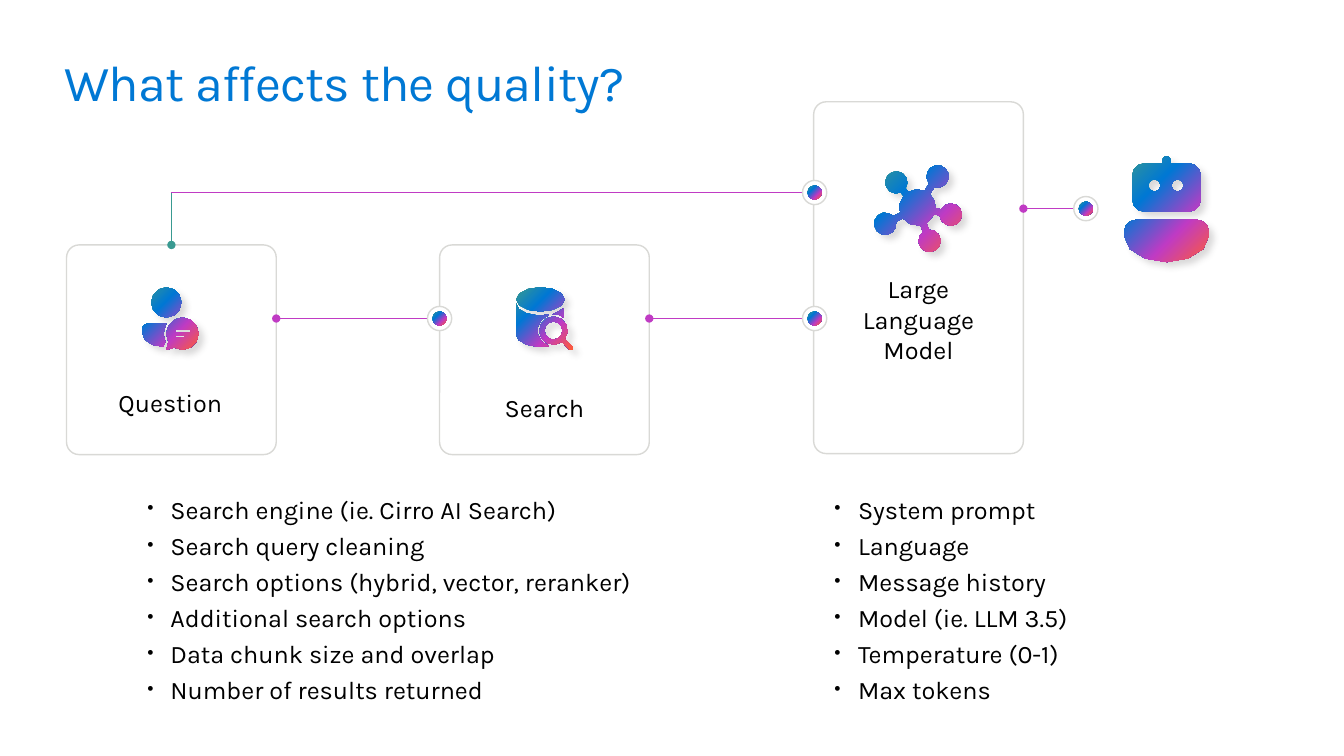
from dataclasses import dataclass
from math import atan2, cos, pi, radians, sin

from lxml import etree
from pptx import Presentation
from pptx.dml.color import RGBColor
from pptx.enum.shapes import MSO_CONNECTOR, MSO_SHAPE
from pptx.enum.text import MSO_ANCHOR, MSO_AUTO_SIZE, PP_ALIGN
from pptx.oxml import parse_xml
from pptx.oxml.ns import nsdecls, qn
from pptx.util import Pt

STRAIGHT = MSO_CONNECTOR.STRAIGHT
ROUNDED, OVAL = MSO_SHAPE.ROUNDED_RECTANGLE, MSO_SHAPE.OVAL
LEFT, CENTER = PP_ALIGN.LEFT, PP_ALIGN.CENTER
TOP, MIDDLE = MSO_ANCHOR.TOP, MSO_ANCHOR.MIDDLE
PX = 9144  # 100 px to the inch
DETAIL = 100  # freeform units in one px
ARC_STEP = 30  # degrees between outline points
TWO_CONTENT = 3


@dataclass(frozen=True)
class Theme:
    font: str = "Karla"
    title_size: int = 36
    text_size: int = 18
    title: str = "0078D4"
    text: str = "000000"
    paper: str = "FFFFFF"
    outline: str = "D9D9D6"
    flow: str = "C03BC4"
    branch: str = "399A91"
    shadow: str = "454142"
    gradient: tuple = ((0, "FF5C39"), (32, "C03BC4"), (68, "0078D4"), (100, "399A91"))


THEME = Theme()
SEARCH_FACTORS = (
    "Search engine (ie. Cirro AI Search)",
    "Search query cleaning",
    "Search options (hybrid, vector, reranker)",
    "Additional search options",
    "Data chunk size and overlap",
    "Number of results returned",
)
MODEL_FACTORS = (
    "System prompt",
    "Language",
    "Message history",
    "Model (ie. LLM 3.5)",
    "Temperature (0-1)",
    "Max tokens",
)


def px(*lengths):
    return [length * PX for length in lengths]


def color(value):
    return RGBColor.from_string(value)


def place(shape, box):
    shape.left, shape.top, shape.width, shape.height = px(*box)


def format_frame(frame, anchor, side_inset=0):
    frame.word_wrap = True
    frame.auto_size = MSO_AUTO_SIZE.NONE
    frame.vertical_anchor = anchor
    frame.margin_left = frame.margin_right = side_inset * PX
    frame.margin_top = frame.margin_bottom = 0


def format_text(paragraph, align, size, value):
    paragraph.alignment = align
    for run in paragraph.runs:
        run.font.name = THEME.font
        run.font.size = Pt(size)
        run.font.color.rgb = color(value)


def add_title(slide, text, box):
    title = slide.shapes.title
    place(title, box)
    format_frame(title.text_frame, MIDDLE)
    title.text_frame.text = text
    paragraph = title.text_frame.paragraphs[0]
    format_text(paragraph, LEFT, THEME.title_size, THEME.title)
    paragraph.runs[0].font._element.set("spc", "-50")


def fill_list(placeholder, items, box, side_inset=0):
    place(placeholder, box)
    frame = placeholder.text_frame
    format_frame(frame, TOP, side_inset)
    frame.text = "\n".join(items)
    for index, paragraph in enumerate(frame.paragraphs):
        properties = paragraph._p.get_or_add_pPr()
        properties.set("marL", str(33 * PX))
        properties.set("indent", str(-31 * PX))
        etree.SubElement(properties, qn("a:buSzPct")).set("val", "90000")
        etree.SubElement(properties, qn("a:buChar")).set("char", "・")
        paragraph.space_before = Pt(4.2 if index else 0)
        format_text(paragraph, LEFT, THEME.text_size, THEME.text)


def add_label(slide, text, left, top):
    label = slide.shapes.add_textbox(*px(left, top, 140, 83))
    format_frame(label.text_frame, MIDDLE, 10)
    label.text_frame.text = text
    format_text(label.text_frame.paragraphs[0], CENTER, THEME.text_size, THEME.text)


def add_outlined(slide, preset, box):
    shape = slide.shapes.add_shape(preset, *px(*box))
    shape.shadow.inherit = False
    shape.fill.solid()
    shape.fill.fore_color.rgb = color(THEME.paper)
    shape.line.color.rgb = color(THEME.outline)
    shape.line.width = Pt(1)
    return shape


def add_card(slide, box):
    card = add_outlined(slide, ROUNDED, box)
    card.adjustments[0] = 0.06
    return card


def paint_gradient(shape):
    """Fill with the theme gradient, spreading from the bottom right corner."""
    shape.shadow.inherit = False
    shape.line.fill.background()
    shape.fill.solid()
    stops = "".join(
        f'<a:gs pos="{position * 1000}"><a:srgbClr val="{value}"/></a:gs>'
        for position, value in THEME.gradient
    )
    gradient = parse_xml(
        f'<a:gradFill {nsdecls("a")} rotWithShape="1"><a:gsLst>{stops}</a:gsLst>'
        '<a:path path="circle"><a:fillToRect l="100000" t="100000"/></a:path></a:gradFill>'
    )
    properties = shape._element.spPr
    properties.replace(properties.find(qn("a:solidFill")), gradient)


def add_node(slide, x, y):
    add_outlined(slide, OVAL, (x - 12, y - 12, 24, 24))
    paint_gradient(slide.shapes.add_shape(OVAL, *px(x - 7, y - 7, 14, 14)))


def add_line(slide, start, end, value, dotted=True):
    line = slide.shapes.add_connector(STRAIGHT, *px(*start, *end))
    line.line.color.rgb = color(value)
    line.line.width = Pt(1.25)
    if dotted:
        etree.SubElement(line.line._get_or_add_ln(), qn("a:headEnd")).set("type", "oval")
    etree.SubElement(line._element.spPr, qn("a:effectLst"))
    return line


def arc(x, y, radius_x, radius_y=None, start=0, end=360):
    """Points on an ellipse; degrees run clockwise from the right."""
    radius_y = radius_y or radius_x
    steps = max(1, round(abs(end - start) / ARC_STEP))
    angles = [radians(start + (end - start) * step / steps) for step in range(steps + 1)]
    return [(x + radius_x * cos(angle), y + radius_y * sin(angle)) for angle in angles]


def rectangle(left, top, width, height):
    right, bottom = left + width, top + height
    return [(left, top), (right, top), (right, bottom), (left, bottom)]


def rounded_box(left, top, width, height, radius):
    centers = rectangle(left + radius, top + radius, width - 2 * radius, height - 2 * radius)
    return [
        point
        for index, (x, y) in enumerate(centers)
        for point in arc(x, y, radius, start=180 + 90 * index, end=270 + 90 * index)
    ]


def network_outline(hub, satellites):
    """One outline round a hub, its arms and the satellites, sorted clockwise."""
    points = []
    angles = [atan2(y - hub[1], x - hub[0]) * 180 / pi % 360 for x, y in satellites]
    previous = angles[-1] - 360
    for (x, y), angle in zip(satellites, angles):
        points += arc(*hub, 18, start=previous + 10, end=angle - 10)
        points += arc(x, y, 11, start=angle + 197, end=angle + 523)
        previous = angle
    return points


def add_icon(slide, contours):
    scaled = [[(x * DETAIL, y * DETAIL) for x, y in contour] for contour in contours]
    first, *others = scaled
    builder = slide.shapes.build_freeform(*first[0], scale=PX / DETAIL)
    builder.add_line_segments(first[1:], close=True)
    for contour in others:
        builder.move_to(*contour[0])
        builder.add_line_segments(contour[1:], close=True)
    icon = builder.convert_to_shape()
    paint_gradient(icon)
    icon._element.spPr.find(qn("a:effectLst")).append(parse_xml(
        f'<a:outerShdw {nsdecls("a")} blurRad="{Pt(5)}" dist="{Pt(5)}" dir="2700000">'
        f'<a:srgbClr val="{THEME.shadow}"><a:alpha val="20000"/></a:srgbClr></a:outerShdw>'
    ))


def add_icons(slide):
    satellites = ((943, 213), (922, 239), (878, 222), (889, 181), (930, 175))
    robot = (
        arc(1157, 234, 42, 26, 0, 180) + arc(1127, 230, 12, start=180, end=270)
        + arc(1187, 230, 12, start=270, end=360),
        rounded_box(1123, 162, 68, 48, 12),
        arc(1157, 159, 4, start=180, end=360) + [(1161, 162), (1153, 162)],
        arc(1145, 184, 6), arc(1168, 184, 6),
    )
    person = (
        arc(165, 300, 15),
        [(162, 344), (164, 339), (162, 331), (165, 321)]
        + arc(147, 327, 6, start=270, end=180) + arc(162, 330, 21, 14, 180, 90),
        arc(181, 331, 16, start=150, end=480) + [(165, 347)],
        rectangle(174, 327, 15, 3), rectangle(174, 333, 9, 2),
    )
    database = (
        arc(536, 297, 24, 12),
        arc(536, 301, 24, 12, 180, 70) + arc(549, 328, 16, start=252, end=108)
        + arc(536, 332, 24, 12, 70, 180),
        [(548, 312), (554, 309), (559, 306), (559, 315), (554, 312)],
        arc(549, 328, 14, start=53, end=397) + [(568, 344), (568, 347), (565, 347)],
        arc(549, 328, 9),
    )
    for contours in ([network_outline((910, 206), satellites)], robot, person, database):
        add_icon(slide, contours)


def main():
    presentation = Presentation()
    presentation.slide_width, presentation.slide_height = px(1333, 750)
    slide = presentation.slides.add_slide(presentation.slide_layouts[TWO_CONTENT])
    add_title(slide, "What affects the quality?", (64, 50, 1205, 61))

    add_card(slide, (807, 101, 208, 349))
    question = add_card(slide, (66, 243, 208, 208))
    add_card(slide, (436, 243, 208, 208))
    add_icons(slide)

    for start, node, dotted in (
        ((274, 316), (436, 316), True),
        ((644, 316), (808, 316), True),
        ((1015, 207), (1077, 207), True),
        ((170, 191), (808, 191), False),
    ):
        add_line(slide, start, node, THEME.flow, dotted)
        add_node(slide, *node)
    add_line(slide, (170, 243), (170, 191), THEME.branch).begin_connect(question, 0)

    add_label(slide, "Question", 99, 358)
    add_label(slide, "Search", 470, 363)
    add_label(slide, "Large Language Model", 841, 275)
    fill_list(slide.placeholders[1], SEARCH_FACTORS, (136, 490, 601, 212))
    fill_list(slide.placeholders[2], MODEL_FACTORS, (808, 490, 356, 222), 10)
    presentation.save("out.pptx")


if __name__ == "__main__":
    main()
